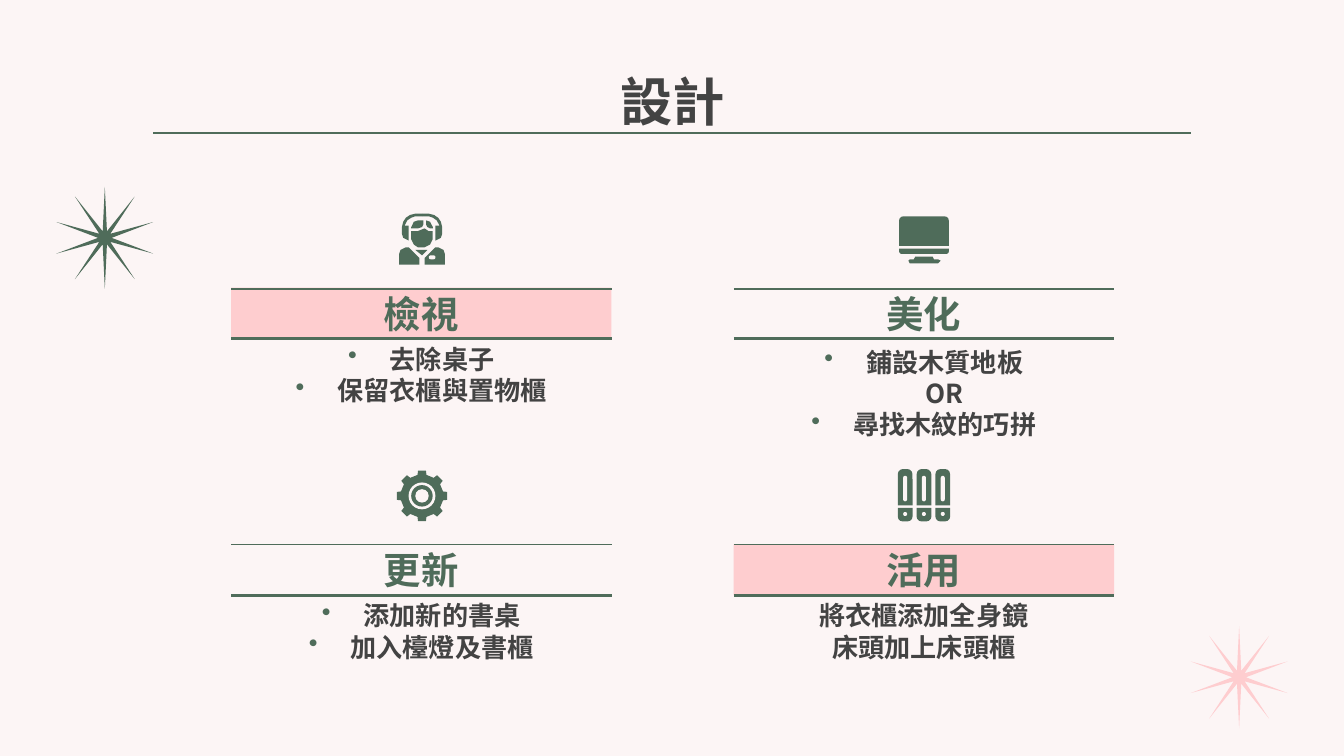
"""Build the four-part room design slide with headings, notes and icons."""
import math

from lxml import etree
from pptx import Presentation
from pptx import util as u
from pptx.dml.color import RGBColor
from pptx.enum import shapes, text
from pptx.oxml.ns import qn

COLORS = {"back": "FCF5F5", "green": "4F6C5A", "pink": "FECDCF", "ink": "434343"}
FONT = "Noto Sans CJK SC"
TITLE = "設計"
CARD_WIDTH, HEAD_HEIGHT = 2.83, 0.38
COLUMNS = (1.72, 5.46)
ROWS = ((2.14, 2.15), (4.05, 4.05))  
CARDS = [
    ("檢視", ["去除桌子", "保留衣櫃與置物櫃"], True, True, 0.53),
    ("美化", ["鋪設木質地板\nOR", "尋找木紋的巧拼"], True, False, 0.81),
    ("更新", ["添加新的書桌", "加入檯燈及書櫃"], True, False, 0.53),
    ("活用", ["將衣櫃添加全身鏡", "床頭加上床頭櫃"], False, True, 0.53),
]
STARS = [(0.42, 1.39, "green"), (8.86, 4.66, "pink")]
PERSON_CENTER = 3.14
PERSON_HALVES = {
    "shoulder": [(2.97, 1.97), (2.97, 1.89), (2.98, 1.86), (3.02, 1.84),
                 (3.04, 1.84), (3.12, 1.92), (3.12, 1.97)],
    "headset": [(3.14, 1.59), (3.09, 1.59), (3.05, 1.6), (3.02, 1.62), (3, 1.65),
                (2.99, 1.69), (2.99, 1.74), (3, 1.77), (3.04, 1.79), (3.04, 1.68),
                (3.01, 1.68), (3.03, 1.64), (3.06, 1.62), (3.09, 1.61), (3.14, 1.61)],
}
PERSON_PARTS = {
    "collar": [(3.09, 1.86), (3.18, 1.86), (3.14, 1.9)],
    "fringe": [(3.06, 1.7), (3.06, 1.69), (3.08, 1.65), (3.11, 1.64),
               (3.15, 1.64), (3.15, 1.67), (3.14, 1.69), (3.11, 1.7)],
    "side hair": [(3.17, 1.64), (3.2, 1.65), (3.22, 1.69), (3.22, 1.7),
                  (3.2, 1.7), (3.18, 1.69), (3.17, 1.67)],
    "face": [(3.06, 1.72), (3.11, 1.72), (3.16, 1.7), (3.19, 1.72), (3.22, 1.72),
             (3.22, 1.78), (3.2, 1.82), (3.16, 1.84), (3.11, 1.84), (3.08, 1.82),
             (3.06, 1.78)],
}
MONITOR_FOOT = [(6.81, 1.91), (6.8, 1.93), (6.77, 1.93), (6.76, 1.94), (6.77, 1.96),
                (6.98, 1.96), (7, 1.94), (6.98, 1.93), (6.95, 1.93), (6.94, 1.91)]
GEAR_CENTER = (3.14, 3.69)
BINDERS = (6.68, 6.82, 6.96)
SHAPE = shapes.MSO_SHAPE


def color(name):
    return RGBColor.from_string(COLORS[name])


def paint(shape, fill):
    shape.shadow.inherit = False
    shape.line.fill.background()
    shape.fill.solid()
    shape.fill.fore_color.rgb = color(fill)


def add_part(parent, kind, place, fill="green", adjustments=()):
    shape = parent.shapes.add_shape(kind, *map(u.Inches, place))
    for index, value in enumerate(adjustments):
        shape.adjustments[index] = value
    paint(shape, fill)
    return shape


def add_polygon(parent, points):
    corners = [(u.Inches(x), u.Inches(y)) for x, y in points]
    builder = parent.shapes.build_freeform(*corners[0])
    builder.add_line_segments(corners[1:], close=True)
    paint(builder.convert_to_shape(), "green")


def add_rule(page, left, right, top, width):
    line = page.shapes.add_connector(
        shapes.MSO_CONNECTOR.STRAIGHT, *map(u.Inches, (left, top, right, top)))
    line.line.color.rgb = color("green")
    line.line.width = u.Pt(width)
    etree.SubElement(line._element.spPr, qn("a:effectLst"))


def add_bullet(para):
    props = para._p.get_or_add_pPr()
    props.set("marL", str(u.Inches(0.31)))
    props.set("indent", str(-u.Inches(0.31)))
    tint = etree.SubElement(props, qn("a:buClr"))
    etree.SubElement(tint, qn("a:srgbClr")).set("val", COLORS["green"])
    etree.SubElement(props, qn("a:buChar")).set("char", "•")


def write(box, lines, size, ink, bulleted=False):
    frame = box.text_frame
    frame.word_wrap = True
    frame.auto_size = text.MSO_AUTO_SIZE.NONE
    frame.vertical_anchor = text.MSO_ANCHOR.MIDDLE
    frame.margin_left = frame.margin_right = u.Inches(0.1)
    frame.margin_top = frame.margin_bottom = u.Inches(0.1)
    for index, line in enumerate(lines):
        para = frame.add_paragraph() if index else frame.paragraphs[0]
        para.alignment = text.PP_ALIGN.CENTER
        if bulleted:
            add_bullet(para)
        for order, piece in enumerate(line.split("\n")):
            if order:
                para.add_line_break()
            span = para.add_run()
            span.text = piece
            span.font.size = u.Pt(size)
            span.font.bold = True
            span.font.color.rgb = color(ink)
            span.font.name = FONT
            etree.SubElement(span._r.get_or_add_rPr(), qn("a:ea")).set("typeface", FONT)


def add_card(page, left, row, card):
    top, rule_top = row
    heading, lines, bulleted, filled, height = card
    place = (left, top, CARD_WIDTH, HEAD_HEIGHT)
    if filled:
        box = add_part(page, SHAPE.RECTANGLE, place, "pink")
    else:
        box = page.shapes.add_textbox(*map(u.Inches, place))
    write(box, [heading], 20, "green")
    bottom = top + HEAD_HEIGHT
    note = page.shapes.add_textbox(*map(u.Inches, (left, bottom, CARD_WIDTH, height)))
    write(note, lines, 14, "ink", bulleted)
    add_rule(page, left, left + CARD_WIDTH, bottom, 1.5)
    add_rule(page, left, left + CARD_WIDTH, rule_top, 0.75)


def draw_person(icon):
    for half in PERSON_HALVES.values():
        add_polygon(icon, half)
        add_polygon(icon, [(2 * PERSON_CENTER - x, y) for x, y in half])
    for points in PERSON_PARTS.values():
        add_polygon(icon, points)
    add_part(icon, SHAPE.ROUNDED_RECTANGLE, (3.19, 1.9, 0.05, 0.03), "back", [0.5])


def draw_monitor(icon):
    add_part(icon, SHAPE.ROUND_2_SAME_RECTANGLE, (6.69, 1.61, 0.37, 0.22), "green", [0.14, 0])
    add_part(icon, SHAPE.ROUND_2_SAME_RECTANGLE, (6.69, 1.85, 0.37, 0.04), "green", [0, 0.5])
    add_polygon(icon, MONITOR_FOOT)


def draw_gear(icon):
    center_x, center_y = GEAR_CENTER
    outline = [(45 * tooth + turn, radius) for tooth in range(8)
               for turn, radius in ((-12, 0.16), (-9, 0.19), (9, 0.19), (12, 0.16))]
    add_polygon(icon, [(center_x + radius * math.cos(math.radians(angle)),
                        center_y + radius * math.sin(math.radians(angle)))
                       for angle, radius in outline])
    for radius, fill in ((0.1, "back"), (0.08, "green"), (0.05, "back")):
        add_part(icon, SHAPE.OVAL,
                 (center_x - radius, center_y - radius, 2 * radius, 2 * radius), fill)


def draw_binders(icon):
    for left in BINDERS:
        add_part(icon, SHAPE.ROUND_2_SAME_RECTANGLE, (left, 3.49, 0.11, 0.27), "green", [0.36, 0])
        add_part(icon, SHAPE.ROUNDED_RECTANGLE, (left + 0.04, 3.54, 0.03, 0.19), "back", [0.5])
        add_part(icon, SHAPE.ROUND_2_SAME_RECTANGLE, (left, 3.78, 0.11, 0.1), "green", [0, 0.36])
        add_part(icon, SHAPE.OVAL, (left + 0.04, 3.81, 0.03, 0.03), "back")


def main():
    deck = Presentation()
    deck.slide_width = u.Inches(10)
    deck.slide_height = deck.slide_width * 9 // 16
    page = deck.slides.add_slide(deck.slide_layouts[5])
    page.background.fill.solid()
    page.background.fill.fore_color.rgb = color("back")
    for left, top, fill in STARS:
        add_part(page, SHAPE.STAR_10_POINT, (left, top, 0.72, 0.76), fill, [0.067])
    add_rule(page, 1.14, 8.86, 0.99, 1.5)
    title = page.shapes.title
    title.left, title.top, title.width, title.height = map(u.Inches, (0.79, 0.49, 8.43, 0.51))
    write(title, [TITLE], 28, "ink")
    for index, card in enumerate(CARDS):
        add_card(page, COLUMNS[index % 2], ROWS[index // 2], card)
    for draw in (draw_person, draw_monitor, draw_gear, draw_binders):
        draw(page.shapes.add_group_shape())
    deck.save("out.pptx")


if __name__ == "__main__":
    main()
